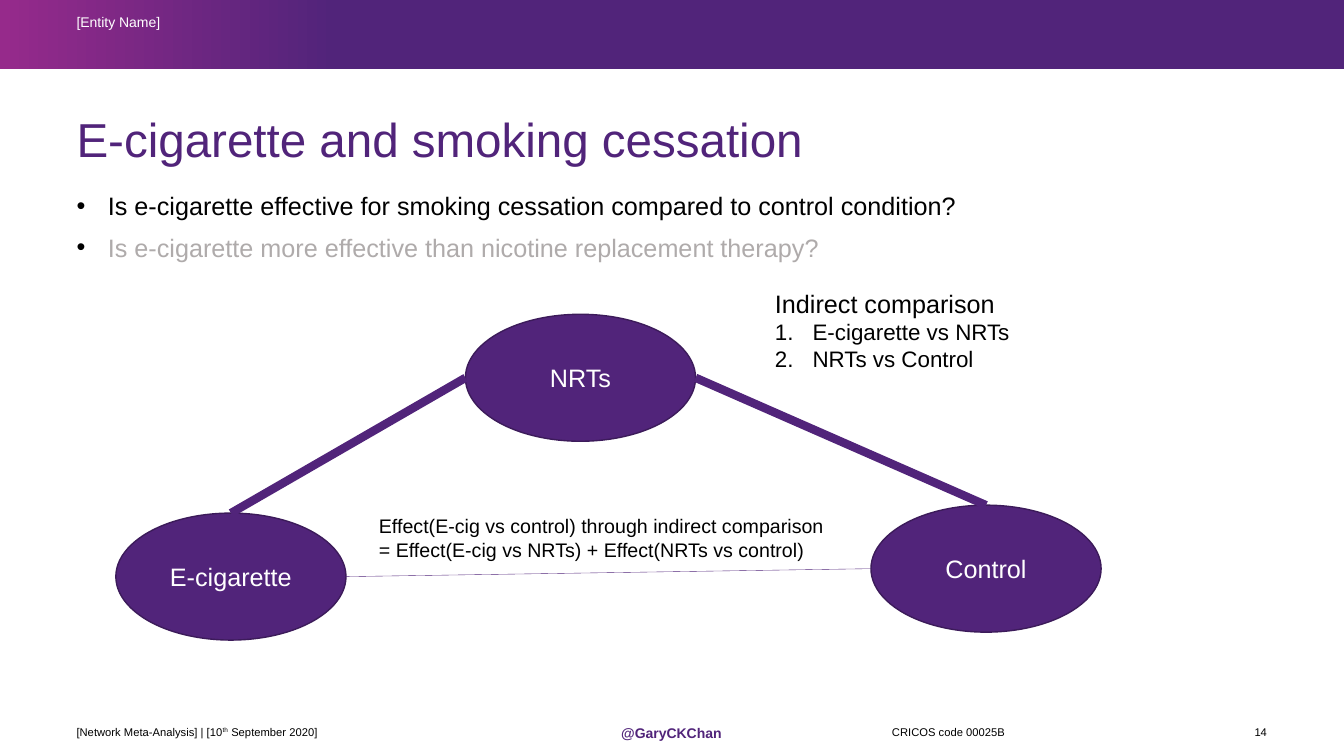
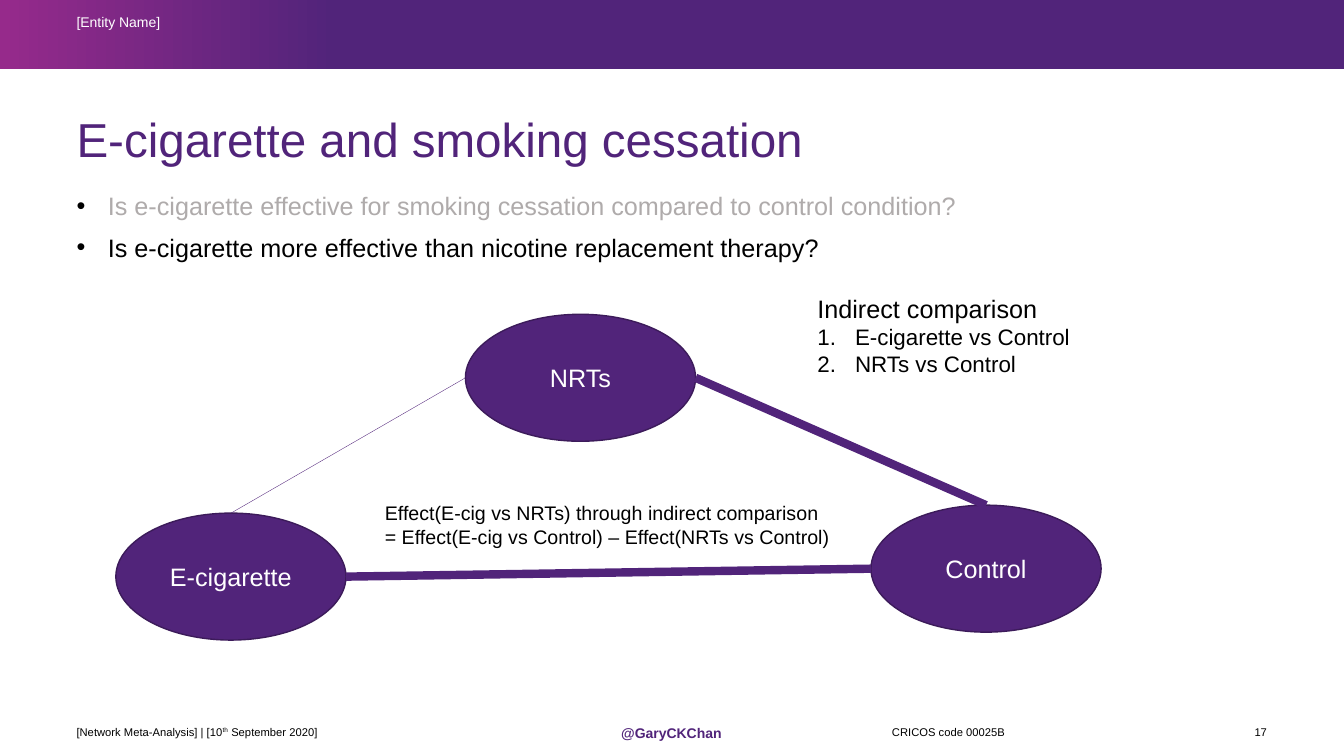
from lxml.etree import SubElement
from pptx import Presentation
from pptx.dml.color import RGBColor
from pptx.enum.shapes import MSO_CONNECTOR, MSO_SHAPE
from pptx.enum.text import MSO_ANCHOR, PP_ALIGN
from pptx.oxml.ns import qn
from pptx.util import Cm, Pt

PURPLE = RGBColor(0x51, 0x24, 0x7A)
DARK = RGBColor(0x3C, 0x1B, 0x5A)
PINK = RGBColor(0x96, 0x2A, 0x8B)
GREY = RGBColor(0xAF, 0xAB, 0xAB)
BLACK = RGBColor(0, 0, 0)
WHITE = RGBColor(255, 255, 255)

FONT = "Arial"
WIDE, HIGH = 33.87, 19.05
LEFT, SPAN = 1.93, 30
FOOT, LINE = 18.11, 0.66
OVAL_W, OVAL_H = 5.8, 3.2
THICK, THIN = 6, 0.25

QUERIES = [
    "Is e-cigarette effective for smoking cessation compared to control condition?",
    "Is e-cigarette more effective than nicotine replacement therapy?",
]
OVALS = {"E-cigarette": (2.92, 12.93), "NRTs": (11.73, 7.92), "Control": (21.95, 12.73)}

# What differs: page, active query, line weights, list and formula
PAGES = [
    dict(page="14", live=0, weights=(THICK, THICK, THIN),
         list_at=(19.28, 7.14), pairs=["E-cigarette vs NRTs", "NRTs vs Control"],
         sum_at=(9.3, 12.83),
         sums=["Effect(E-cig vs control) through indirect comparison",
               "= Effect(E-cig vs NRTs) + Effect(NRTs vs control)"]),
    dict(page="17", live=1, weights=(THIN, THICK, THICK),
         list_at=(20.35, 7.26), pairs=["E-cigarette vs Control", "NRTs vs Control"],
         sum_at=(9.45, 12.5),
         sums=["Effect(E-cig vs NRTs) through indirect comparison",
               "= Effect(E-cig vs Control) – Effect(NRTs vs Control)"]),
]


def add_box(slide, x, y, w, h, pad=0, anchor=MSO_ANCHOR.MIDDLE):
    frame = slide.shapes.add_textbox(Cm(x), Cm(y), Cm(w), Cm(h)).text_frame
    frame.word_wrap = True
    frame.vertical_anchor = anchor
    frame.margin_left = frame.margin_right = Cm(pad)
    frame.margin_top = frame.margin_bottom = Cm(pad / 2)
    return frame


def add_line(frame, words, size, tint=BLACK, align=PP_ALIGN.LEFT, space=1.0, gap=0):
    """Add a paragraph; words is one string or a list of runs."""
    para = frame.paragraphs[-1]
    if para.runs:
        para = frame.add_paragraph()
    para.alignment = align
    para.line_spacing = space
    para.space_before = para.space_after = Pt(gap)
    for part in [words] if isinstance(words, str) else words:
        run = para.add_run()
        run.text = part
        run.font.name = FONT
        run.font.size = Pt(size)
        run.font.color.rgb = tint
    return para


deck = Presentation()
deck.slide_width, deck.slide_height = Cm(WIDE), Cm(HIGH)

for data in PAGES:
    slide = deck.slides.add_slide(deck.slide_layouts[6])
    shapes = slide.shapes

    # Top band
    band = shapes.add_shape(MSO_SHAPE.RECTANGLE, 0, 0, Cm(WIDE), Cm(1.75))
    band.shadow.inherit = False
    band.line.fill.background()
    band.fill.gradient()
    band.fill.gradient_angle = 0
    for stop, tint, place in zip(band.fill.gradient_stops, (PINK, PURPLE), (0, 0.25)):
        stop.color.rgb = tint
        stop.position = place
    frame = add_box(slide, LEFT, 0.43, 9.4, LINE, anchor=MSO_ANCHOR.TOP)
    add_line(frame, "[Entity Name]", 10, WHITE, space=0.8)

    # Title
    frame = add_box(slide, LEFT, 2.92, SPAN, 1.3)
    add_line(frame, "E-cigarette and smoking cessation", 34, PURPLE, space=0.9)

    # Queries
    frame = add_box(slide, LEFT, 4.72, SPAN, 12.8, anchor=MSO_ANCHOR.TOP)
    for index, query in enumerate(QUERIES):
        tint = BLACK if index == data["live"] else GREY
        props = add_line(frame, query, 18, tint, space=1.1, gap=3)._p.get_or_add_pPr()
        props.set("marL", str(Cm(0.79)))
        props.set("indent", str(-Cm(0.79)))
        SubElement(SubElement(props, qn("a:buClr")), qn("a:srgbClr"), val=str(BLACK))
        SubElement(props, qn("a:buFont"), typeface=FONT)
        SubElement(props, qn("a:buChar"), char="•")

    # Ovals
    for name, (x, y) in OVALS.items():
        oval = shapes.add_shape(MSO_SHAPE.OVAL, Cm(x), Cm(y), Cm(OVAL_W), Cm(OVAL_H))
        oval.shadow.inherit = False
        oval.fill.solid()
        oval.fill.fore_color.rgb = PURPLE
        oval.line.color.rgb = DARK
        oval.line.width = Pt(1)
        oval.text_frame.vertical_anchor = MSO_ANCHOR.MIDDLE
        add_line(oval.text_frame, name, 18, WHITE, PP_ALIGN.CENTER)

    # Links between ovals: top, left and right middles
    (ex, ey), (nx, ny), (cx, cy) = OVALS.values()
    half_w, half_h = OVAL_W / 2, OVAL_H / 2
    links = [
        (ex + half_w, ey, nx, ny + half_h),
        (nx + OVAL_W, ny + half_h, cx + half_w, cy),
        (ex + OVAL_W, ey + half_h, cx, cy + half_h),
    ]
    for ends, weight in zip(links, data["weights"]):
        link = shapes.add_connector(MSO_CONNECTOR.STRAIGHT, *[Cm(end) for end in ends])
        link.line.color.rgb = PURPLE
        link.line.width = Pt(weight)
        SubElement(link._element.spPr, qn("a:effectLst"))

    # Numbered list
    frame = add_box(slide, *data["list_at"], 10.6, 2.4, 0.25, MSO_ANCHOR.TOP)
    add_line(frame, "Indirect comparison", 18)
    for pair in data["pairs"]:
        props = add_line(frame, pair, 16)._p.get_or_add_pPr()
        props.set("marL", str(Cm(0.95)))
        props.set("indent", str(-Cm(0.95)))
        SubElement(props, qn("a:buFont"), typeface=FONT)
        SubElement(props, qn("a:buAutoNum"), type="arabicPeriod")

    # Formula
    frame = add_box(slide, *data["sum_at"], 11.8, 1.45, 0.25, MSO_ANCHOR.TOP)
    frame.word_wrap = False
    for words in data["sums"]:
        add_line(frame, words, 14)

    # Footer
    frame = add_box(slide, LEFT, FOOT, 9.3, LINE)
    date = add_line(frame, ["[Network Meta-Analysis] | [10", "th", " September 2020]"], 8)
    date.runs[1].font._element.set("baseline", "30000")
    frame = add_box(slide, 12.22, FOOT, 9.4, LINE)
    handle = add_line(frame, "@GaryCKChan", 10, PURPLE, PP_ALIGN.CENTER, 1.1, 3)
    handle.runs[0].font.bold = True
    add_line(add_box(slide, 22.48, FOOT, 6.65, LINE), "CRICOS code 00025B", 8)
    add_line(add_box(slide, 31.13, FOOT, 0.8, LINE), data["page"], 8, align=PP_ALIGN.RIGHT)

deck.save("out.pptx")
